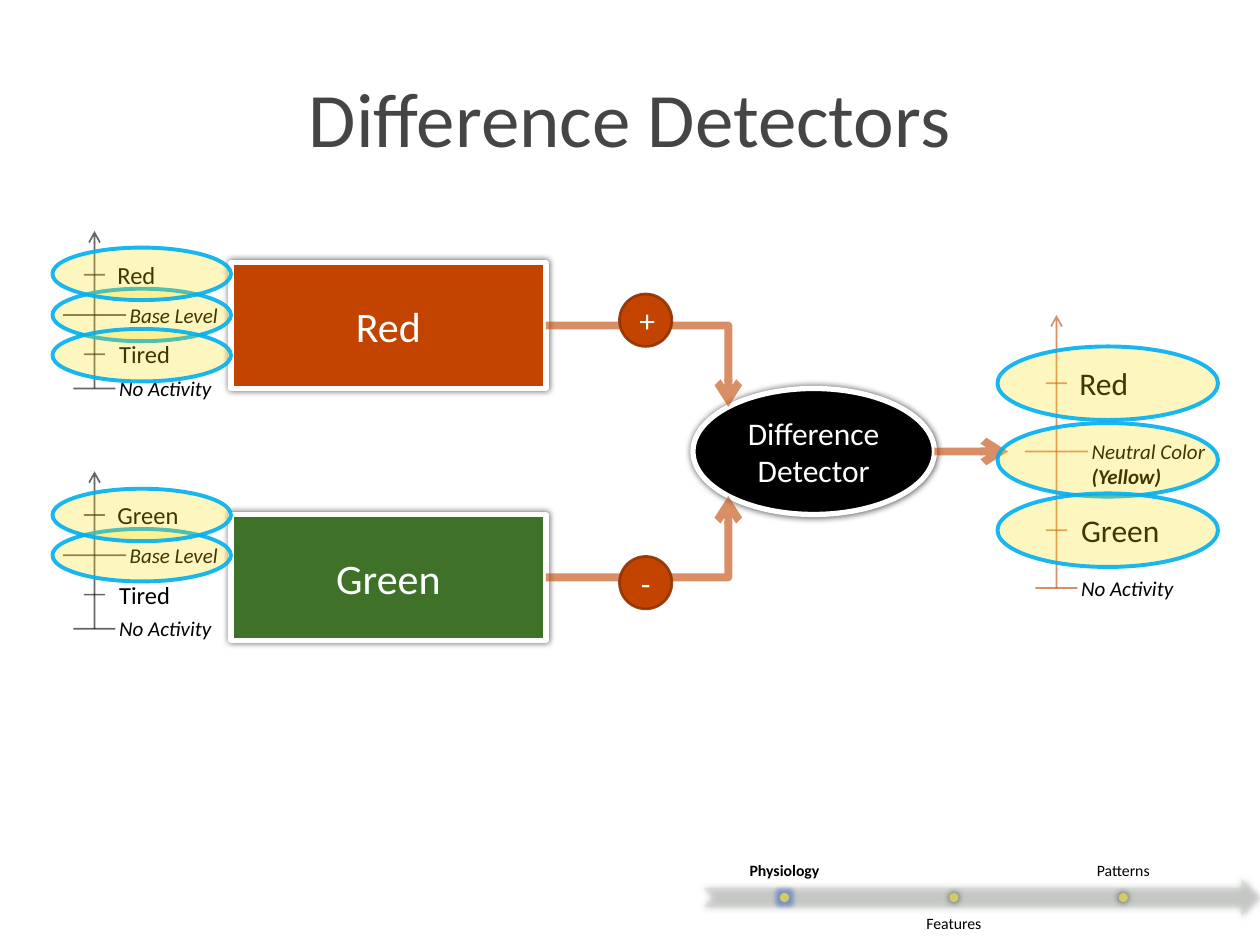
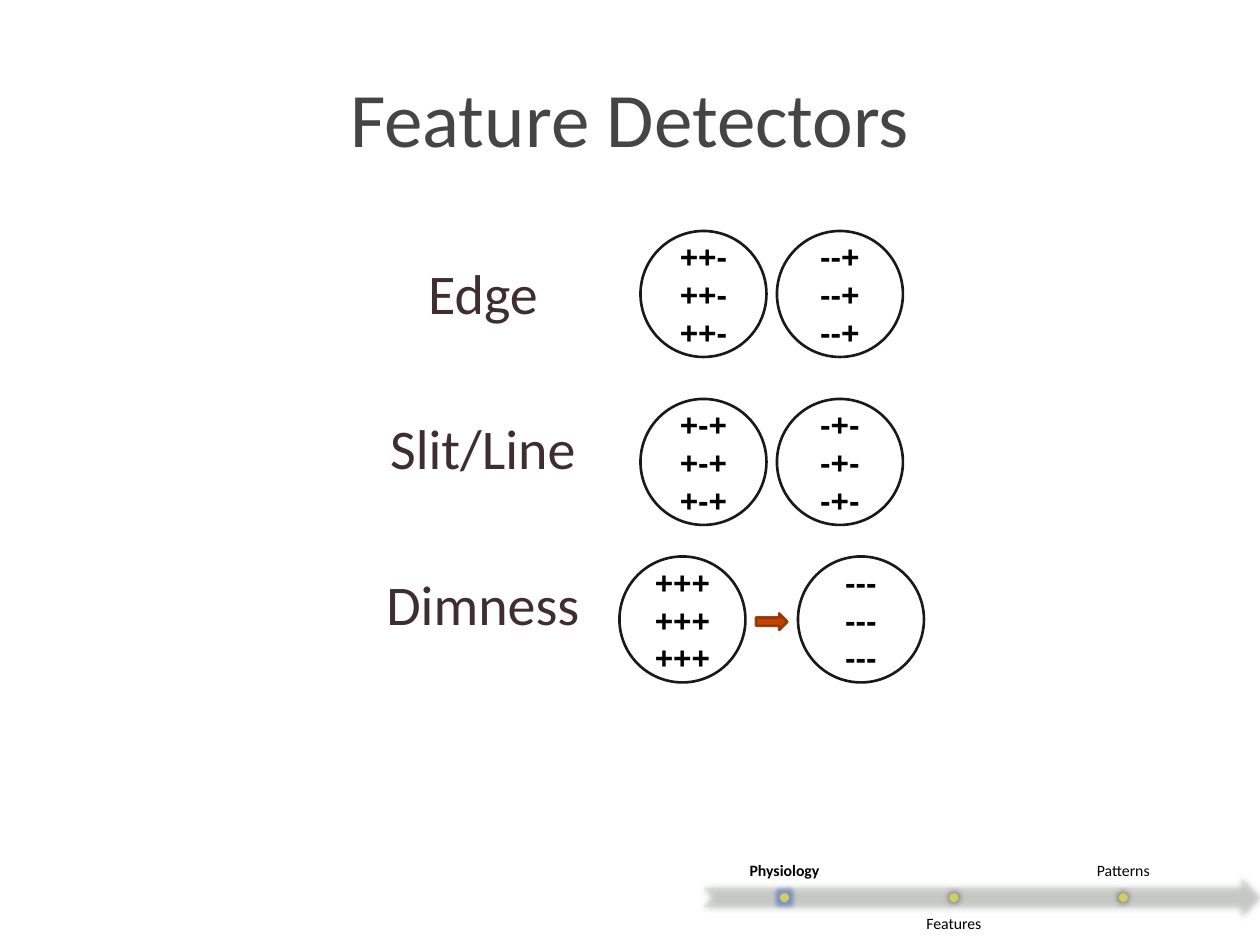
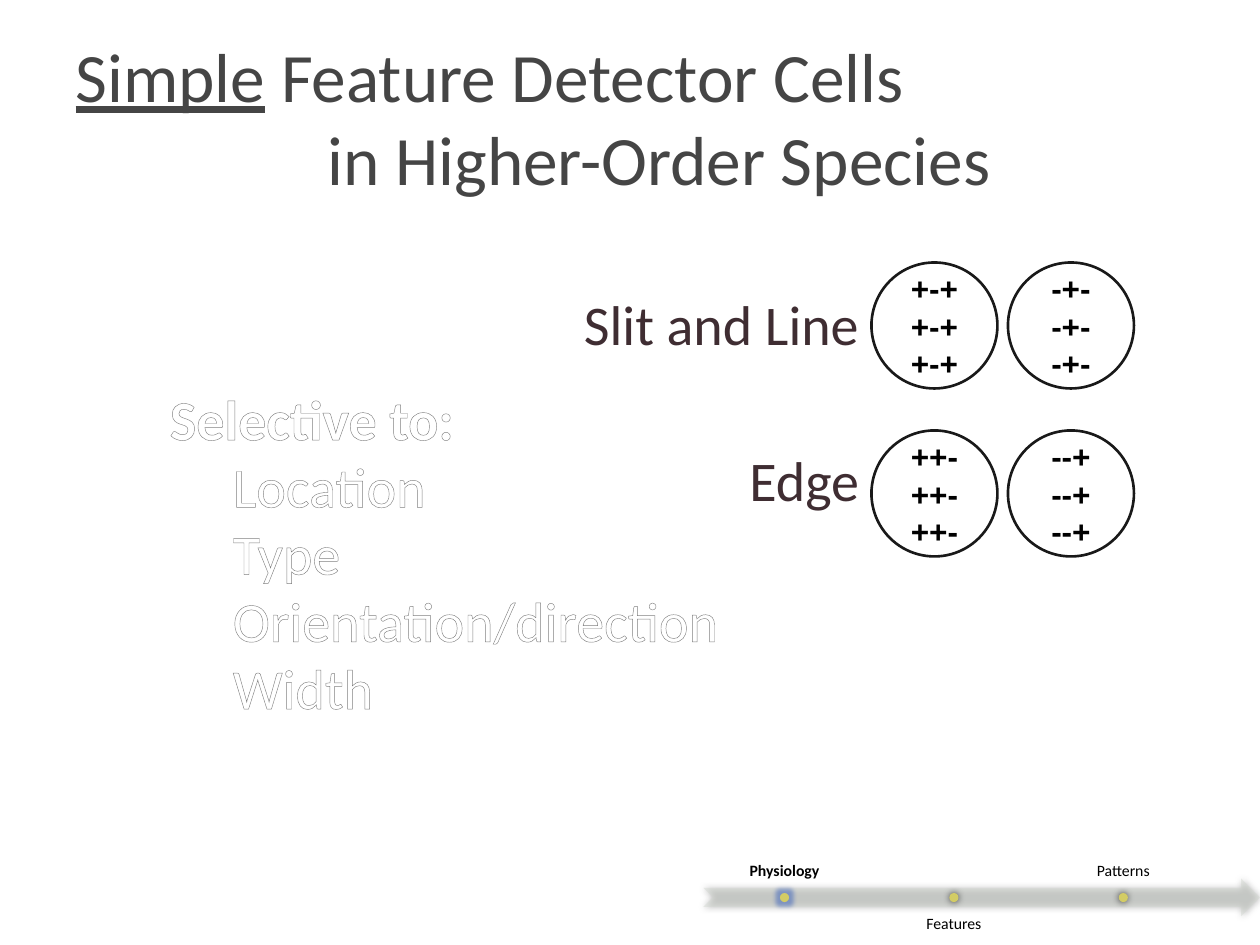
from dataclasses import dataclass

import lxml.etree
import pptx
import pptx.dml.color
import pptx.enum.dml
import pptx.enum.shapes
import pptx.enum.text
import pptx.oxml.ns
import pptx.util

Pt = pptx.util.Pt
qn = pptx.oxml.ns.qn
SHAPE = pptx.enum.shapes.MSO_SHAPE
CONNECTOR = pptx.enum.shapes.MSO_CONNECTOR
ALIGN = pptx.enum.text.PP_ALIGN
ANCHOR = pptx.enum.text.MSO_ANCHOR

BLACK, WHITE = "000000", "FFFFFF"
ORANGE, DARK_ORANGE, GREEN = "C24400", "903200", "3F7228"
YELLOW, BLUE = "FEDD00", "00B0F0"
TITLE_GREY, BODY_PLUM, OUTLINE_GREY = "454545", "3F2D32", "808080"
BAR_GREY, DOT_YELLOW, GLOW_BLUE = "CFD5CD", "D3CC65", "4F71BE"
TITLE_STOPS = ((0, "A2A2A2"), (50, TITLE_GREY), (50, BLACK), (100, TITLE_GREY))
TITLE_FORMAT = dict(color=TITLE_GREY, outline=(TITLE_GREY, 1), stops=TITLE_STOPS)
TOPIC_GAP = 50.5


@dataclass
class Stage:
    name: str
    top: float
    anchor: ANCHOR
    current: bool = False


@dataclass
class Level:
    """One tick of an activity scale; drop is measured from the top of the axis."""
    label: str
    drop: float
    half_tick: float
    label_gap: float
    size: float
    italic: bool = False


@dataclass
class Scale:
    axis_x: float
    top: float
    color: str
    levels: list[Level]
    highlights: tuple[float, ...]
    highlight_box: tuple[float, float, float]


STAGES = [
    Stage("Physiology", 486, ANCHOR.BOTTOM, current=True),
    Stage("Features", 518.4, ANCHOR.TOP),
    Stage("Patterns", 486, ANCHOR.BOTTOM),
]


def rgb(color: str) -> pptx.dml.color.RGBColor:
    return pptx.dml.color.RGBColor.from_string(color)


def add_xml(parent, tag: str, **attributes):
    return lxml.etree.SubElement(
        parent, qn(tag), {key: str(value) for key, value in attributes.items()})


def add_color(parent, color: str, alpha: float = 100) -> None:
    node = add_xml(parent, "a:srgbClr", val=color)
    if alpha < 100:
        add_xml(node, "a:alpha", val=int(alpha * 1000))


def paint(fill, holder, color: str, alpha: float = 100) -> None:
    """Fill solidly; holder is the XML element that carries the fill."""
    fill.solid()
    fill.fore_color.rgb = rgb(color)
    if alpha < 100:
        node = holder.find(f"{qn('a:solidFill')}/{qn('a:srgbClr')}")
        add_xml(node, "a:alpha", val=int(alpha * 1000))


def stroke(shape, color: str, width: float, alpha: float = 100) -> None:
    shape.line.width = Pt(width)
    paint(shape.line.fill, shape.element.spPr.find(qn("a:ln")), color, alpha)


def write(paragraph, text: str, *, size: float, color: str = BLACK, font: str = "Calibri",
          bold: bool = False, italic: bool = False, underline: bool = False,
          align: ALIGN = ALIGN.LEFT, indent: float = 0, space_before: float = 0,
          line_spacing: float = 1, outline=None, stops=()) -> None:
    """Add one formatted run to a paragraph."""
    paragraph.alignment = align
    paragraph.space_before = Pt(space_before)
    paragraph.line_spacing = line_spacing
    if indent:
        paragraph._p.get_or_add_pPr().set("marL", str(Pt(indent)))
    run = paragraph.add_run()
    run.text = text
    run.font.name, run.font.size = font, Pt(size)
    run.font.bold, run.font.italic, run.font.underline = bold, italic, underline
    properties = run._r.get_or_add_rPr()
    if stops:
        gradient = lxml.etree.Element(qn("a:gradFill"))
        stop_list = add_xml(gradient, "a:gsLst")
        for position, stop_color in stops:
            add_color(add_xml(stop_list, "a:gs", pos=position * 1000), stop_color)
        add_xml(gradient, "a:lin", ang=90 * 60000, scaled=0)
        properties.insert(0, gradient)
    else:
        run.font.color.rgb = rgb(color)
    if outline:
        outline_color, width = outline
        line = lxml.etree.Element(qn("a:ln"), {"w": str(Pt(width))})
        add_color(add_xml(line, "a:solidFill"), outline_color)
        properties.insert(0, line)


def next_paragraph(frame, index: int):
    return frame.add_paragraph() if index else frame.paragraphs[0]


def write_lines(frame, lines, gap: float = 0, **text_format) -> None:
    for index, line in enumerate(lines):
        write(next_paragraph(frame, index), line,
              space_before=gap if index else 0, **text_format)


def add_frame(shapes, left: float, top: float, width: float, height: float,
              anchor: ANCHOR = ANCHOR.TOP):
    frame = shapes.add_textbox(Pt(left), Pt(top), Pt(width), Pt(height)).text_frame
    frame.word_wrap = True
    frame.vertical_anchor = anchor
    return frame


def add_shape(shapes, kind: SHAPE, left: float, top: float, width: float, height: float,
              fill: str, alpha: float = 100, line=None, shadow: bool = False,
              lines=(), **text_format):
    """line is (color, width, alpha)."""
    shape = shapes.add_shape(kind, Pt(left), Pt(top), Pt(width), Pt(height))
    shape.shadow.inherit = False
    properties = shape.element.spPr
    paint(shape.fill, properties, fill, alpha)
    if line:
        stroke(shape, *line)
    else:
        shape.line.fill.background()
    if shadow:
        effect = add_xml(properties.find(qn("a:effectLst")), "a:outerShdw",
                         blurRad=Pt(4), dist=0, dir=0, algn="ctr", rotWithShape=0)
        add_color(effect, BLACK, 64)
    if lines:
        shape.text_frame.vertical_anchor = ANCHOR.MIDDLE
        write_lines(shape.text_frame, lines, align=ALIGN.CENTER, **text_format)
    return shape


def add_line(slide, start, end, color: str, width: float, arrow: str = "",
             kind: CONNECTOR = CONNECTOR.STRAIGHT):
    """arrow names the end with an arrowhead: headEnd or tailEnd."""
    line = slide.shapes.add_connector(kind, *(Pt(value) for value in (*start, *end)))
    stroke(line, color, width, 60)
    properties = line.element.spPr
    if arrow:
        add_xml(properties.find(qn("a:ln")), f"a:{arrow}", type="arrow")
    add_xml(properties, "a:effectLst")
    return line


def add_progress(slide) -> None:
    shapes = slide.shapes.add_group_shape().shapes
    add_shape(shapes, SHAPE.NOTCHED_RIGHT_ARROW, 402, 502, 318, 21.6, BAR_GREY, 40, shadow=True)
    for index, stage in enumerate(STAGES):
        center = 448.3 + 96.8 * index
        frame = add_frame(shapes, center - 46, stage.top, 92, 21.6, stage.anchor)
        frame.margin_left = frame.margin_right = Pt(5)
        frame.margin_top = frame.margin_bottom = Pt(5)
        write(frame.paragraphs[0], stage.name, size=9, bold=stage.current,
              align=ALIGN.CENTER, line_spacing=0.9)
        dot = add_shape(shapes, SHAPE.OVAL, center - 2.6, 510.3, 5.2, 5.2, DOT_YELLOW,
                        shadow=not stage.current)
        if stage.current:
            effects = dot.element.spPr.find(qn("a:effectLst"))
            add_color(add_xml(effects, "a:glow", rad=Pt(5)), GLOW_BLUE, 60)


def new_slide(deck):
    """Return a title-only slide and the text frame of its placed title."""
    slide = deck.slides.add_slide(deck.slide_layouts[5])
    title = slide.shapes.title
    title.left, title.top, title.width, title.height = Pt(36), Pt(21.6), Pt(648), Pt(90)
    title.text_frame.vertical_anchor = ANCHOR.MIDDLE
    return slide, title.text_frame


def add_scale(slide, scale: Scale) -> None:
    x, top = scale.axis_x, scale.top
    add_line(slide, (x, top), (x, top + scale.levels[-1].drop), scale.color, 1, "headEnd")
    for level in scale.levels:
        y = top + level.drop
        add_line(slide, (x - level.half_tick, y), (x + level.half_tick, y), scale.color, 1)
        height = level.size * 1.22 + 7.2
        frame = add_frame(slide.shapes, x + level.label_gap, y - height / 2, 84, height)
        for index, line in enumerate(level.label.split("\n")):
            write(next_paragraph(frame, index), line, size=level.size,
                  italic=level.italic, bold=index > 0)
    left, width, height = scale.highlight_box
    for drop in scale.highlights:
        add_shape(slide.shapes, SHAPE.OVAL, left, top + drop - height / 2, width, height,
                  YELLOW, 25, (BLUE, 2.25, 90))


def make_levels(high: str, base: str, low: str, size: float, drops) -> list[Level]:
    high_drop, base_drop, low_drop, none_drop = drops
    return [
        Level(high, high_drop, 6, 6, size),
        Level(base, base_drop, 18, 13, 12, italic=True),
        Level(low, low_drop, 6, 7, size),
        Level("No Activity", none_drop, 12, 7, 12, italic=True),
    ]


def add_cell_pair(slide, left: float, top: float, patterns, step: float = 78) -> None:
    for index, pattern in enumerate(patterns):
        add_shape(slide.shapes, SHAPE.OVAL, left + step * index, top, 72, 72, WHITE,
                  line=(BLACK, 1.5, 90), lines=[pattern] * 3, size=18, font="Arial", bold=True)


def build_difference_slide(deck) -> None:
    slide, title = new_slide(deck)
    write(title.paragraphs[0], "Difference Detectors", size=44, align=ALIGN.CENTER, **TITLE_FORMAT)

    framed = dict(line=(WHITE, 3), shadow=True, color=WHITE)
    red, green = (
        add_shape(slide.shapes, SHAPE.RECTANGLE, 132, top, 180, 72, fill,
                  lines=[name], size=24, **framed)
        for name, top, fill in (("Red", 150, ORANGE), ("Green", 294, GREEN)))
    detector = add_shape(slide.shapes, SHAPE.OVAL, 396, 222, 138, 72, BLACK,
                         lines=["Difference", "Detector"], size=18, **framed)
    add_line(slide, (534, 258), (576, 258), ORANGE, 4.5, "tailEnd")

    for box, start_y, end_y, site in ((red, 186, 232.5, 1), (green, 330, 283.5, 3)):
        elbow = add_line(slide, (312, start_y), (416.2, end_y), ORANGE, 4.5, "tailEnd",
                         CONNECTOR.ELBOW)
        elbow.element.spPr.find(qn("a:prstGeom")).set("prst", "bentConnector2")
        elbow.begin_connect(box, 3)
        elbow.end_connect(detector, site)
        elbow.end_x, elbow.end_y = Pt(416.2), Pt(end_y)
    for sign, top in (("+", 168), ("-", 318)):
        add_shape(slide.shapes, SHAPE.OVAL, 354, top, 30, 30, ORANGE,
                  line=(DARK_ORANGE, 1.5, 90), lines=[sign], size=18, color=WHITE)

    input_drops, input_box = (25, 48, 70.5, 90), (30, 102, 30)
    for scale in (
        Scale(603.7, 180, ORANGE,
              make_levels("Red", "Neutral Color\n(Yellow)", "Green", 18, (39, 78, 123, 156)),
              (39, 82.8, 123), (570, 126, 42)),
        Scale(54, 132, BLACK, make_levels("Red", "Base Level", "Tired", 14, input_drops),
              (48, 71, 24.5), input_box),
        Scale(54, 269.3, BLACK, make_levels("Green", "Base Level", "Tired", 14, input_drops),
              (48, 25), input_box),
    ):
        add_scale(slide, scale)
    add_progress(slide)


def build_feature_slide(deck) -> None:
    slide, title = new_slide(deck)
    write(title.paragraphs[0], "Feature Detectors", size=44, align=ALIGN.CENTER, **TITLE_FORMAT)
    write_lines(add_frame(slide.shapes, 132, 144, 288, 266), ["Edge", "Slit/Line", "Dimness"],
                TOPIC_GAP, size=32, color=BODY_PLUM, align=ALIGN.CENTER)
    add_cell_pair(slide, 366, 132, ("++-", "--+"))
    add_cell_pair(slide, 366, 228, ("+-+", "-+-"))
    add_cell_pair(slide, 354, 318, ("+++", "---"), step=102)
    add_shape(slide.shapes, SHAPE.RIGHT_ARROW, 432, 350.5, 18, 9.5, ORANGE,
              line=(DARK_ORANGE, 1.5, 90))
    add_progress(slide)


def build_simple_cells_slide(deck) -> None:
    slide, title = new_slide(deck)
    first_line = title.paragraphs[0]
    write(first_line, "Simple", size=39.6, underline=True, **TITLE_FORMAT)
    write(first_line, " Feature Detector Cells", size=39.6, **TITLE_FORMAT)
    write(title.add_paragraph(), "in Higher-Order Species", size=39.6, indent=144, **TITLE_FORMAT)

    write_lines(add_frame(slide.shapes, 312, 162, 186, 156), ["Slit and Line", "Edge"],
                TOPIC_GAP, size=32, color=BODY_PLUM, align=ALIGN.RIGHT)
    add_cell_pair(slide, 498, 246, ("++-", "--+"))
    add_cell_pair(slide, 498, 150, ("+-+", "-+-"))
    add_progress(slide)

    selective = add_frame(slide.shapes, 90, 216, 332, 201)
    hollow = dict(size=32, color=WHITE, outline=(OUTLINE_GREY, 0.75))
    write(selective.paragraphs[0], "Selective to:", bold=True, **hollow)
    for trait in ("Location", "Type", "Orientation/direction", "Width"):
        write(selective.add_paragraph(), trait, indent=36, **hollow)


def main() -> None:
    deck = pptx.Presentation()
    deck.slide_width, deck.slide_height = Pt(720), Pt(540)
    build_difference_slide(deck)
    build_feature_slide(deck)
    build_simple_cells_slide(deck)
    deck.save("out.pptx")


if __name__ == "__main__":
    main()
